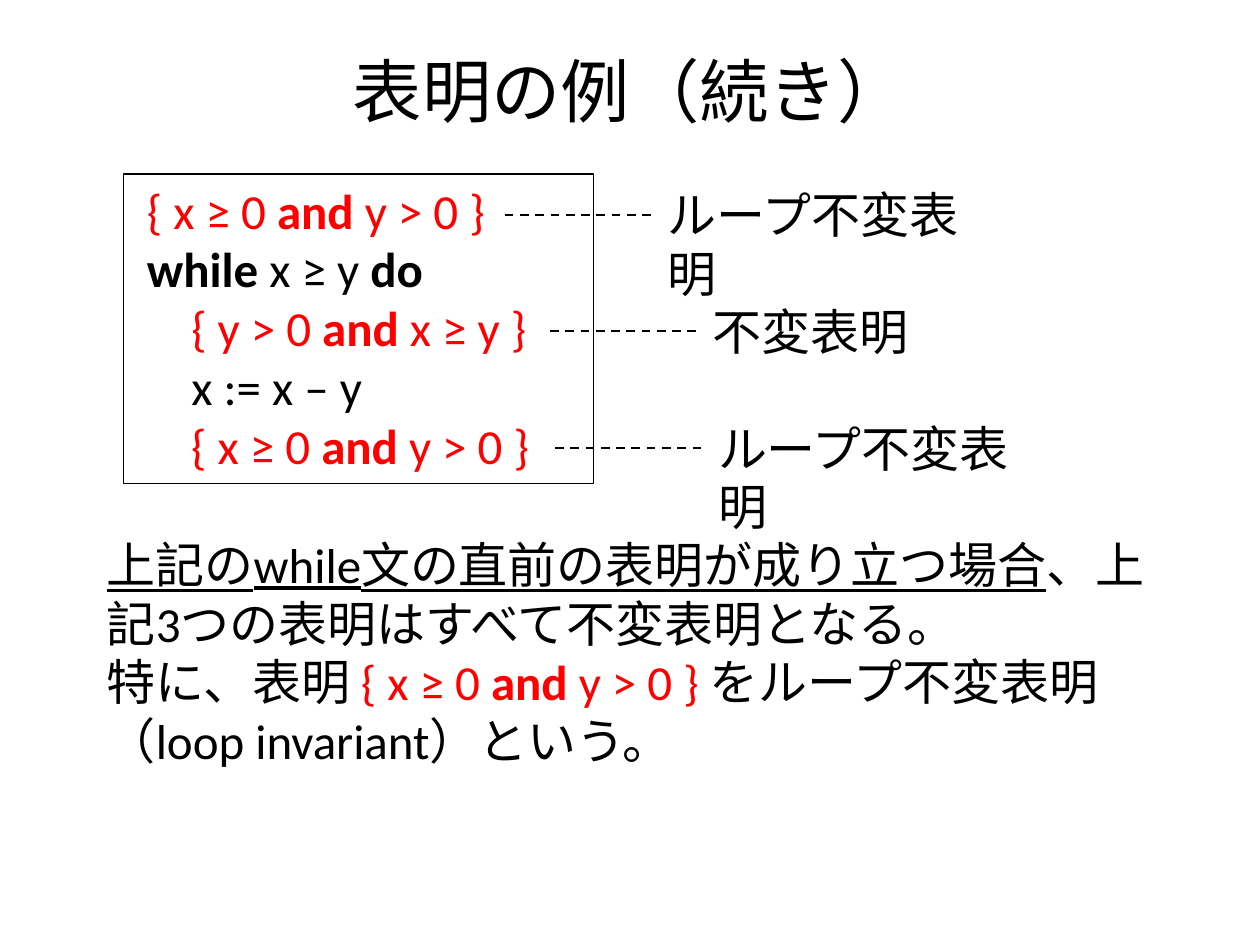
from lxml import etree
from pptx import Presentation
from pptx import util as u
from pptx.dml.color import RGBColor
from pptx.enum import dml, shapes, text
from pptx.oxml.ns import qn

FONT = "Calibri"
BLACK = "000000"
RED = "FF0000"
BODY_SIZE = 28

INVARIANT = [("{ x ≥ 0 ", {"color": RED}),
             ("and ", {"color": RED, "bold": True}),
             ("y > 0 }", {"color": RED})]
CODE = [
    [(" ", {}), *INVARIANT],
    [(" ", {}), ("while", {"bold": True}), (" x ≥ y ", {}), ("do", {"bold": True})],
    [("     { y > 0 ", {"color": RED}), ("and", {"color": RED, "bold": True}),
     (" x ≥ y }", {"color": RED})],
    [("     x := x – y", {})],
    [("     ", {}), *INVARIANT],
]
EXPLANATION = [
    [("上記のwhile文の直前の表明が成り立つ場合", {"underline": True}),
     ("、上記3つの表明はすべて不変表明となる。", {})],
    [("特に、表明 ", {}), *INVARIANT, (" ", {}),
     ("をループ不変表明（loop invariant）という。", {})],
]
# Each label: text, left edge, width
LABELS = [("ループ不変表明", 374.4, 207.4),
          ("不変表明", 400.3, 127.4),
          ("ループ不変表明", 403.2, 207.4)]
LABEL_TOP = 102.2
LABEL_PITCH = 66.6  # two lines of code
LABEL_HEIGHT = 41


def rgb(value):
    return RGBColor.from_string(value)


def add_run(paragraph, content, size=BODY_SIZE, color=BLACK, bold=False, underline=False):
    run = paragraph.add_run()
    run.text = content
    run.font.name = FONT
    run.font.size = u.Pt(size)
    run.font.color.rgb = rgb(color)
    run.font.bold = bold
    run.font.underline = underline


def fill_text(shape, lines):
    """Write lines, each a list of (text, format) pairs, from the top left."""
    frame = shape.text_frame
    frame.word_wrap = True
    frame.vertical_anchor = text.MSO_ANCHOR.TOP
    for index, line in enumerate(lines):
        paragraph = frame.add_paragraph() if index else frame.paragraphs[0]
        paragraph.alignment = text.PP_ALIGN.LEFT
        for content, style in line:
            add_run(paragraph, content, **style)


def add_text(slide, left, top, width, height, lines):
    box = slide.shapes.add_textbox(u.Pt(left), u.Pt(top), u.Pt(width), u.Pt(height))
    fill_text(box, lines)


def add_title(slide, content):
    title = slide.shapes.title
    title.left, title.top = u.Pt(36), u.Pt(21.6)
    title.width, title.height = u.Pt(648), u.Pt(59)
    title.text_frame.vertical_anchor = text.MSO_ANCHOR.MIDDLE
    paragraph = title.text_frame.paragraphs[0]
    paragraph.alignment = text.PP_ALIGN.CENTER
    add_run(paragraph, content, size=39.6)


def add_code_box(slide, left, top, width, height, lines):
    box = slide.shapes.add_shape(shapes.MSO_SHAPE.RECTANGLE, u.Pt(left), u.Pt(top),
                                 u.Pt(width), u.Pt(height))
    box.shadow.inherit = False
    box.fill.background()
    box.line.color.rgb = rgb(BLACK)
    box.line.width = u.Pt(0.75)
    fill_text(box, lines)


def add_dashed_line(slide, start, end, y):
    line = slide.shapes.add_connector(shapes.MSO_CONNECTOR.STRAIGHT, u.Pt(start), u.Pt(y),
                                      u.Pt(end), u.Pt(y))
    line.line.color.rgb = rgb(BLACK)
    line.line.width = u.Pt(1.25)
    line.line.dash_style = dml.MSO_LINE.DASH
    etree.SubElement(line._element.spPr, qn("a:effectLst"))


def add_label(slide, content, left, top, width):
    """Add a label with the dashed line that leads to it from the code."""
    add_text(slide, left, top, width, LABEL_HEIGHT, [[(content, {})]])
    add_dashed_line(slide, left - 86, left - 2, top + LABEL_HEIGHT / 2)


def main():
    presentation = Presentation()
    presentation.slide_width, presentation.slide_height = u.Pt(720), u.Pt(540)
    slide = presentation.slides.add_slide(presentation.slide_layouts[5])
    add_title(slide, "表明の例（続き）")
    add_code_box(slide, 70.6, 99.4, 268.6, 177, CODE)
    add_text(slide, 54, 301.7, 614.2, 143.3, EXPLANATION)
    for index, (content, left, width) in enumerate(LABELS):
        add_label(slide, content, left, LABEL_TOP + index * LABEL_PITCH, width)
    presentation.save("out.pptx")


if __name__ == "__main__":
    main()
